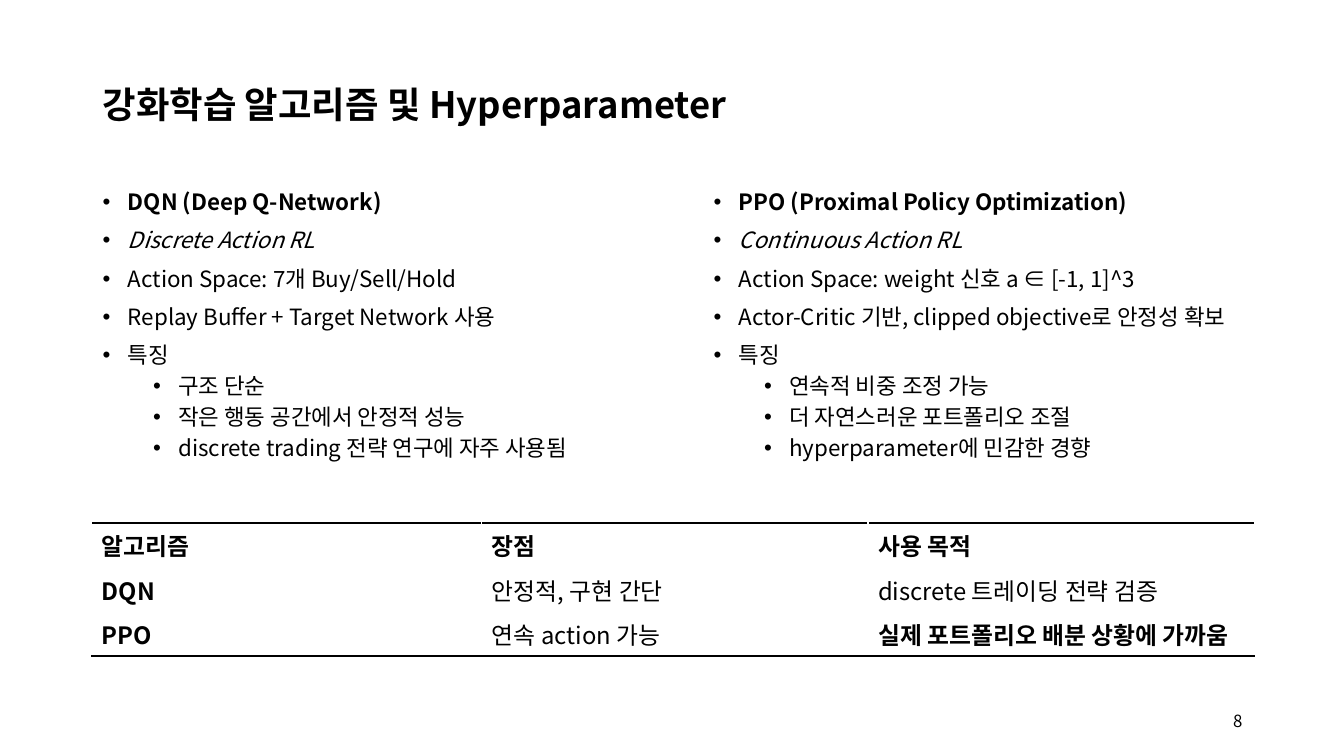
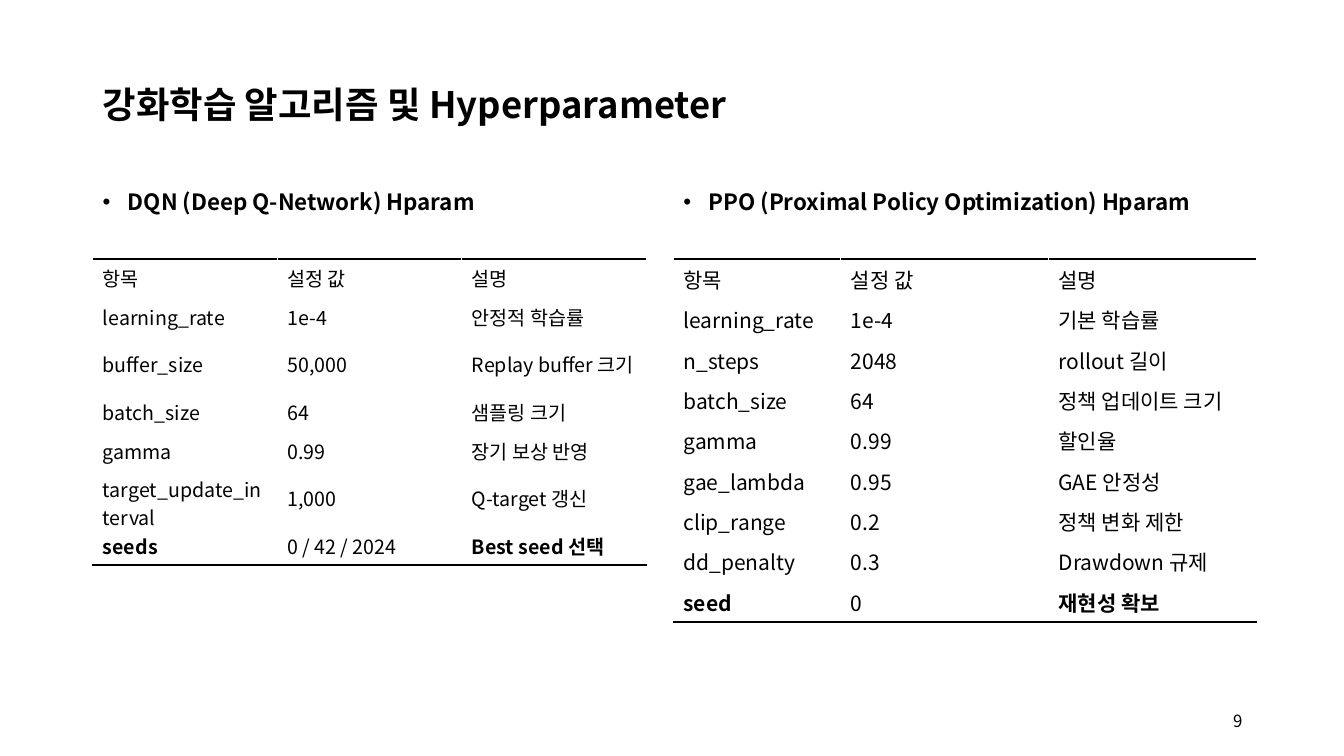
from lxml import etree
from pptx import Presentation
from pptx import util as u
from pptx.dml.color import RGBColor
from pptx.enum import text
from pptx.oxml.ns import qn

FONT = "Noto Sans CJK KR"
HEX = {"ink": "000000", "paper": "FFFFFF"}
TITLE = "강화학습 알고리즘 및 Hyperparameter"
LEFT = 0.92

PAGES = [
    {
        "page": 8,
        "lists": [
            (LEFT, [
                ("DQN (Deep Q-Network)", 0, "b"),
                ("Discrete Action RL", 0, "i"),
                ("Action Space: 7개 Buy/Sell/Hold", 0, ""),
                ("Replay Buffer + Target Network 사용", 0, ""),
                ("특징", 0, ""),
                ("구조 단순", 1, ""),
                ("작은 행동 공간에서 안정적 성능", 1, ""),
                ("discrete trading 전략 연구에 자주 사용됨", 1, ""),
            ]),
            (6.98, [
                ("PPO (Proximal Policy Optimization)", 0, "b"),
                ("Continuous Action RL", 0, "i"),
                ("Action Space: weight 신호 a ∈ [-1, 1]^3", 0, ""),
                ("Actor-Critic 기반, clipped objective로 안정성 확보", 0, ""),
                ("특징", 0, ""),
                ("연속적 비중 조정 가능", 1, ""),
                ("더 자연스러운 포트폴리오 조절", 1, ""),
                ("hyperparameter에 민감한 경향", 1, ""),
            ]),
        ],
        "tables": [{
            "at": (0.91, 5.19), "cols": (3.87, 3.83, 3.83), "size": 17, "row": 0.44,
            "bold": {(0, 0), (0, 1), (0, 2), (1, 0), (2, 0), (2, 2)},
            "rows": [
                ("알고리즘", "장점", "사용 목적"),
                ("DQN", "안정적, 구현 간단", "discrete 트레이딩 전략 검증"),
                ("PPO", "연속 action 가능", "실제 포트폴리오 배분 상황에 가까움"),
            ],
        }],
    },
    {
        "page": 9,
        "lists": [
            (LEFT, [("DQN (Deep Q-Network) Hparam", 0, "b")]),
            (6.68, [("PPO (Proximal Policy Optimization) Hparam", 0, "b")]),
        ],
        "tables": [
            {
                "at": (LEFT, 2.57), "cols": (1.83, 1.83, 1.83), "size": 14, "row": 0.38,
                "bold": {(6, 0), (6, 2)},
                "rows": [
                    ("항목", "설정 값", "설명"),
                    ("learning_rate", "1e-4", "안정적 학습률"),
                    ("buffer_size", "50,000", "Replay buffer 크기"),
                    ("batch_size", "64", "샘플링 크기"),
                    ("gamma", "0.99", "장기 보상 반영"),
                    ("target_update_interval", "1,000", "Q-target 갱신"),
                    ("seeds", "0 / 42 / 2024", "Best seed 선택"),
                ],
            },
            {
                "at": (6.68, 2.57), "cols": (1.66, 2.06, 2.06), "size": 15, "row": 0.4,
                "bold": {(8, 0), (8, 2)},
                "rows": [
                    ("항목", "설정 값", "설명"),
                    ("learning_rate", "1e-4", "기본 학습률"),
                    ("n_steps", "2048", "rollout 길이"),
                    ("batch_size", "64", "정책 업데이트 크기"),
                    ("gamma", "0.99", "할인율"),
                    ("gae_lambda", "0.95", "GAE 안정성"),
                    ("clip_range", "0.2", "정책 변화 제한"),
                    ("dd_penalty", "0.3", "Drawdown 규제"),
                    ("seed", "0", "재현성 확보"),
                ],
            },
        ],
    },
]


def write(para, words, size, bold=False, italic=False):
    para.text = words
    font = para.font
    font.name, font.size = FONT, u.Pt(size)
    font.bold, font.italic = bold, italic
    font.color.rgb = RGBColor.from_string(HEX["ink"])
    base = para._p.pPr.find(qn("a:defRPr"))
    base.find(qn("a:latin")).addnext(base.makeelement(qn("a:ea"), {"typeface": FONT}))


def add_box(slide, left, top, width, height, anchor=text.MSO_ANCHOR.MIDDLE):
    box = slide.shapes.add_textbox(*map(u.Inches, (left, top, width, height)))
    frame = box.text_frame
    frame.word_wrap = True
    frame.vertical_anchor = anchor
    return frame


def add_list(slide, left, items):
    frame = add_box(slide, left, 1.85, 5.48, 4.76, text.MSO_ANCHOR.TOP)
    for n, (words, level, style) in enumerate(items):
        para = frame.add_paragraph() if n else frame.paragraphs[0]
        write(para, words, 16, style == "b", style == "i")
        para.level = level
        para.line_spacing = 0.9
        para.space_before = u.Pt(5 if level else 10)
        props = para._p.pPr
        props.set("marL", str(u.Inches(0.25 + 0.5 * level)))
        props.set("indent", str(u.Inches(-0.25)))
        base = props.find(qn("a:defRPr"))
        base.addprevious(base.makeelement(qn("a:buFont"), {"typeface": "Arial"}))
        base.addprevious(base.makeelement(qn("a:buChar"), {"char": "•"}))


def add_rule(cell, side):
    props = cell._tc.get_or_add_tcPr()
    line = props.makeelement(qn("a:" + side), {"w": str(u.Pt(2))})
    fill = etree.SubElement(line, qn("a:solidFill"))
    etree.SubElement(fill, qn("a:srgbClr"), val=HEX["ink"])
    props.insert(0, line)


def add_grid(slide, data):
    rows, cols = data["rows"], data["cols"]
    size = sum(cols), data["row"] * len(rows)
    grid = slide.shapes.add_table(
        len(rows), len(cols), *map(u.Inches, data["at"] + size)).table
    grid.first_row = grid.horz_banding = False
    for col, width in zip(grid.columns, cols):
        col.width = u.Inches(width)
    for r, row in enumerate(rows):
        for c, words in enumerate(row):
            cell = grid.cell(r, c)
            cell.vertical_anchor = text.MSO_ANCHOR.MIDDLE
            cell.fill.solid()
            cell.fill.fore_color.rgb = RGBColor.from_string(HEX["paper"])
            write(cell.text_frame.paragraphs[0], words, data["size"], (r, c) in data["bold"])
            if r == 0:
                add_rule(cell, "lnT")
            if r == len(rows) - 1:
                add_rule(cell, "lnB")


def add_page(deck, data):
    slide = deck.slides.add_slide(deck.slide_layouts[6])
    head = add_box(slide, LEFT, 0.47, 11.5, 1.18).paragraphs[0]
    write(head, TITLE, 26, True)
    head.line_spacing = 0.9
    for left, items in data["lists"]:
        add_list(slide, left, items)
    foot = add_box(slide, 9.42, 6.95, 3, 0.4).paragraphs[0]
    write(foot, str(data["page"]), 12)
    foot.alignment = text.PP_ALIGN.RIGHT
    for grid in data["tables"]:
        add_grid(slide, grid)


def main():
    deck = Presentation()
    deck.slide_width, deck.slide_height = u.Inches(13.33), u.Inches(7.5)
    for data in PAGES:
        add_page(deck, data)
    deck.save("out.pptx")


if __name__ == "__main__":
    main()
